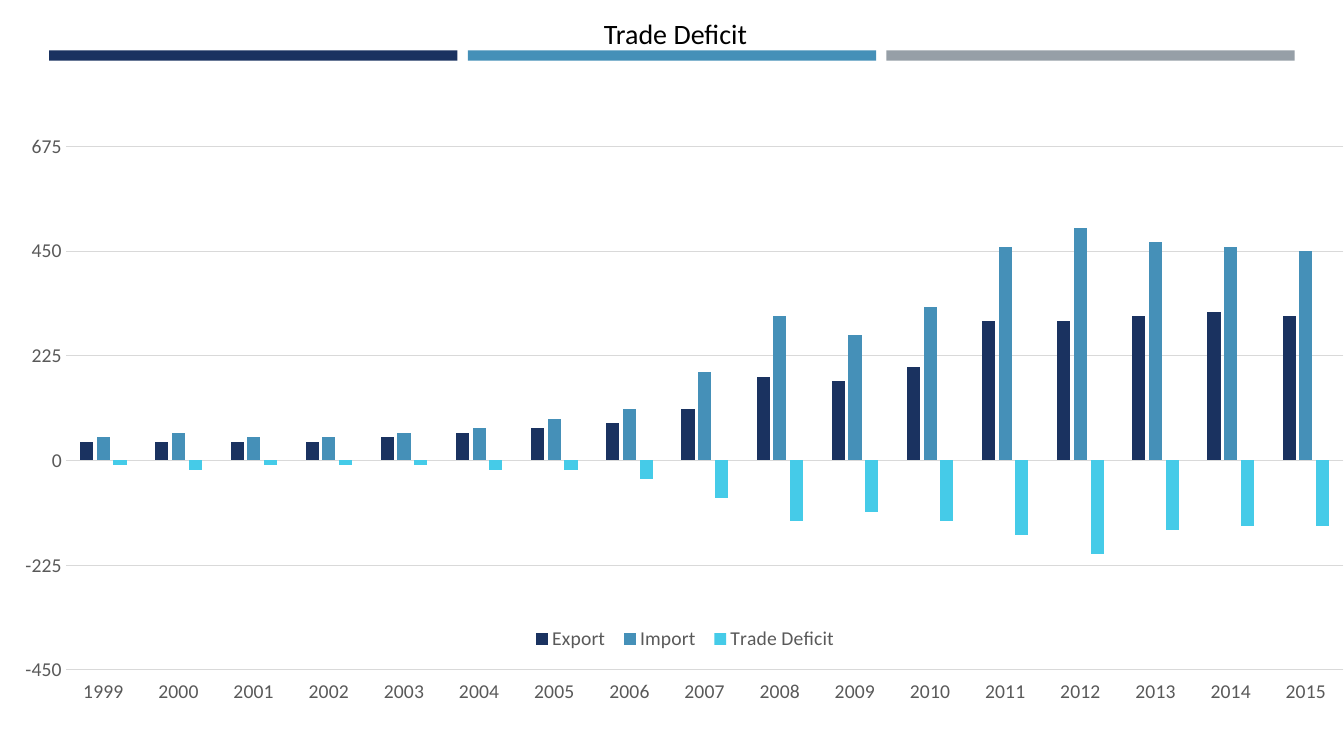
from lxml import etree
from pptx import Presentation, util as u
from pptx.chart import data as chart_data
from pptx.dml import color
from pptx.enum import chart as ch, shapes, text
from pptx.oxml import ns

COLOURS = {
    "navy": "1A3260",
    "blue": "4590B8",
    "cyan": "45CBE8",
    "grey": "969FA7",
    "grid": "D9D9D9",
    "label": "595959",
    "black": "000000",
}

YEARS = [str(year) for year in range(1999, 2016)]
TRADE = {
    "Export": ("navy", [40, 40, 40, 40, 50, 60, 70, 80, 110, 180, 170, 200,
                        300, 300, 310, 320, 310]),
    "Import": ("blue", [50, 60, 50, 50, 60, 70, 90, 110, 190, 310, 270, 330,
                        460, 500, 470, 460, 450]),
    "Trade Deficit": ("cyan", [-10, -20, -10, -10, -10, -20, -20, -40, -80,
                               -130, -110, -130, -160, -200, -150, -140, -140]),
}


def rgb(name):
    return color.RGBColor.from_string(COLOURS[name])


def set_layout(parent, position, **settings):
    for old in parent.findall(ns.qn("c:layout")):
        parent.remove(old)
    layout = etree.Element(ns.qn("c:layout"))
    manual = etree.SubElement(layout, ns.qn("c:manualLayout"))
    for tag, value in settings.items():
        etree.SubElement(manual, ns.qn(f"c:{tag}")).set("val", str(value))
    parent.insert(position, layout)


class SlideBuilder:
    font = "Calibri"

    def __init__(self, slide):
        self.slide = slide

    def style(self, font, size, colour):
        font.name = self.font
        font.size = u.Pt(size)
        font.color.rgb = rgb(colour)

    def line(self, line_format, colour):
        line_format.color.rgb = rgb(colour)
        line_format.width = u.Pt(0.75)

    def band(self, left, top, width, height, colour):
        band = self.slide.shapes.add_shape(
            shapes.MSO_SHAPE.RECTANGLE,
            u.Cm(left), u.Cm(top), u.Cm(width), u.Cm(height))
        band.shadow.inherit = False
        band.fill.solid()
        band.fill.fore_color.rgb = rgb(colour)
        band.line.fill.background()

    def heading(self, wording, left, top, width, height):
        frame = self.slide.shapes.add_textbox(
            u.Cm(left), u.Cm(top), u.Cm(width), u.Cm(height)).text_frame
        frame.word_wrap = True
        frame.auto_size = text.MSO_AUTO_SIZE.SHAPE_TO_FIT_TEXT
        frame.text = wording
        paragraph = frame.paragraphs[0]
        paragraph.alignment = text.PP_ALIGN.CENTER
        self.style(paragraph.runs[0].font, 20, "black")

    def columns(self, categories, series, left, top, width, height):
        figures = chart_data.CategoryChartData(number_format="General")
        figures.categories = categories
        for name, (_, values) in series.items():
            figures.add_series(name, values)
        chart = self.slide.shapes.add_chart(
            ch.XL_CHART_TYPE.COLUMN_CLUSTERED,
            u.Cm(left), u.Cm(top), u.Cm(width), u.Cm(height), figures).chart
        chart.has_title = False
        self.style(chart.font, 14, "black")

        plot = chart.plots[0]
        plot.gap_width = 219
        plot.overlap = -27
        plot.vary_by_categories = False
        for bars, (colour, _) in zip(plot.series, series.values()):
            bars.invert_if_negative = False
            bars.format.fill.solid()
            bars.format.fill.fore_color.rgb = rgb(colour)

        self.axes(chart.category_axis, chart.value_axis)
        self.legend(chart)
        set_layout(chart._chartSpace.chart.plotArea, 0, layoutTarget="inner",
                   xMode="edge", yMode="edge", x=0.049, y=0.137, w=0.951, h=0.795)

    def axes(self, years, amounts):
        for axis in (years, amounts):
            axis.major_tick_mark = ch.XL_TICK_MARK.NONE
            axis.minor_tick_mark = ch.XL_TICK_MARK.NONE
            self.style(axis.tick_labels.font, 14, "label")
        years.tick_label_position = ch.XL_TICK_LABEL_POSITION.LOW
        self.line(years.format.line, "grid")
        amounts.minimum_scale = -450
        amounts.maximum_scale = 675
        amounts.major_unit = 225
        amounts.has_major_gridlines = True
        self.line(amounts.major_gridlines.format.line, "grid")
        amounts.format.line.fill.background()

    def legend(self, chart):
        chart.has_legend = True
        legend = chart.legend
        legend.position = ch.XL_LEGEND_POSITION.BOTTOM
        legend.include_in_layout = False
        self.style(legend.font, 14, "label")
        set_layout(legend._element, 1, xMode="edge", yMode="edge",
                   x=0.39, y=0.86, w=0.24, h=0.05)


def main():
    deck = Presentation()
    deck.slide_width = u.Cm(33.87)
    deck.slide_height = u.Cm(19.05)
    builder = SlideBuilder(deck.slides.add_slide(deck.slide_layouts[6]))
    for index, colour in enumerate(("navy", "blue", "grey")):
        builder.band(1.24 + index * 10.55, 1.27, 10.29, 0.26, colour)
    builder.columns(YEARS, TRADE, 0, 1.42, 33.87, 16.59)
    builder.heading("Trade Deficit", 9.8, 0.3, 14.45, 1.12)
    deck.save("out.pptx")


if __name__ == "__main__":
    main()
